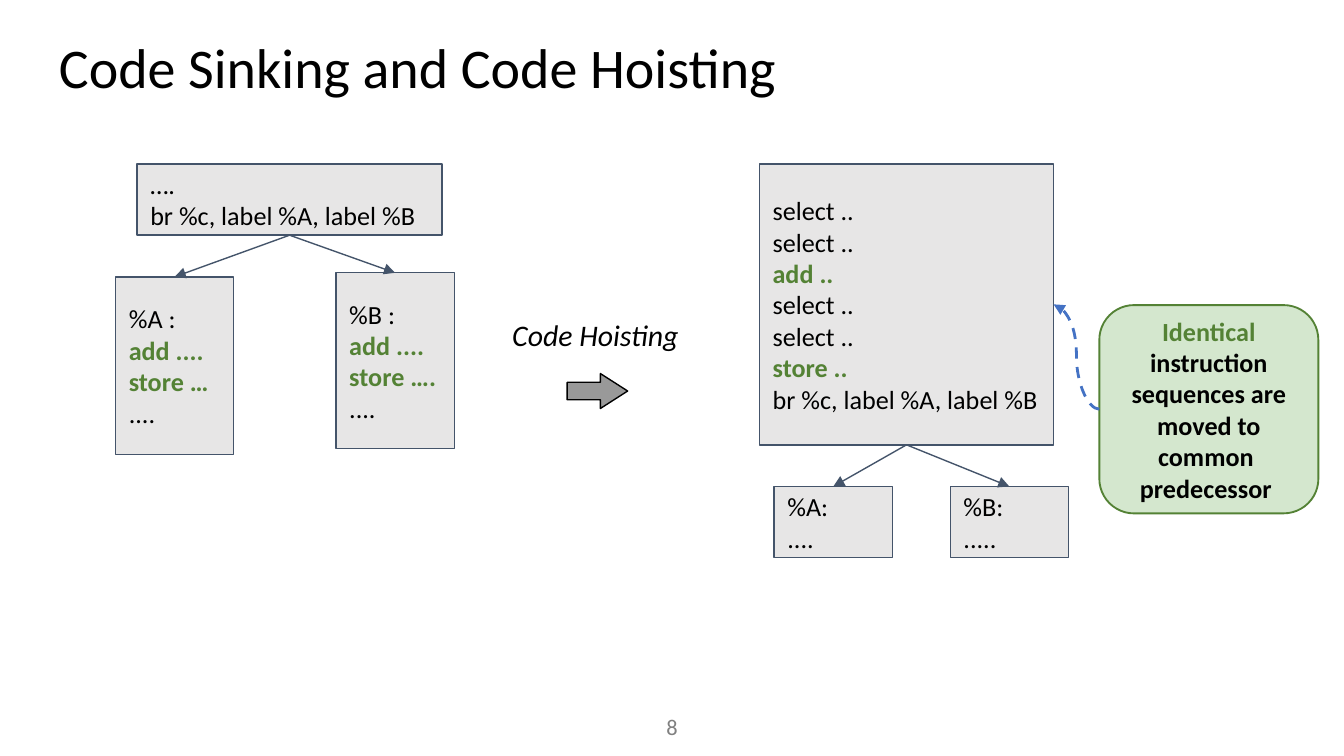
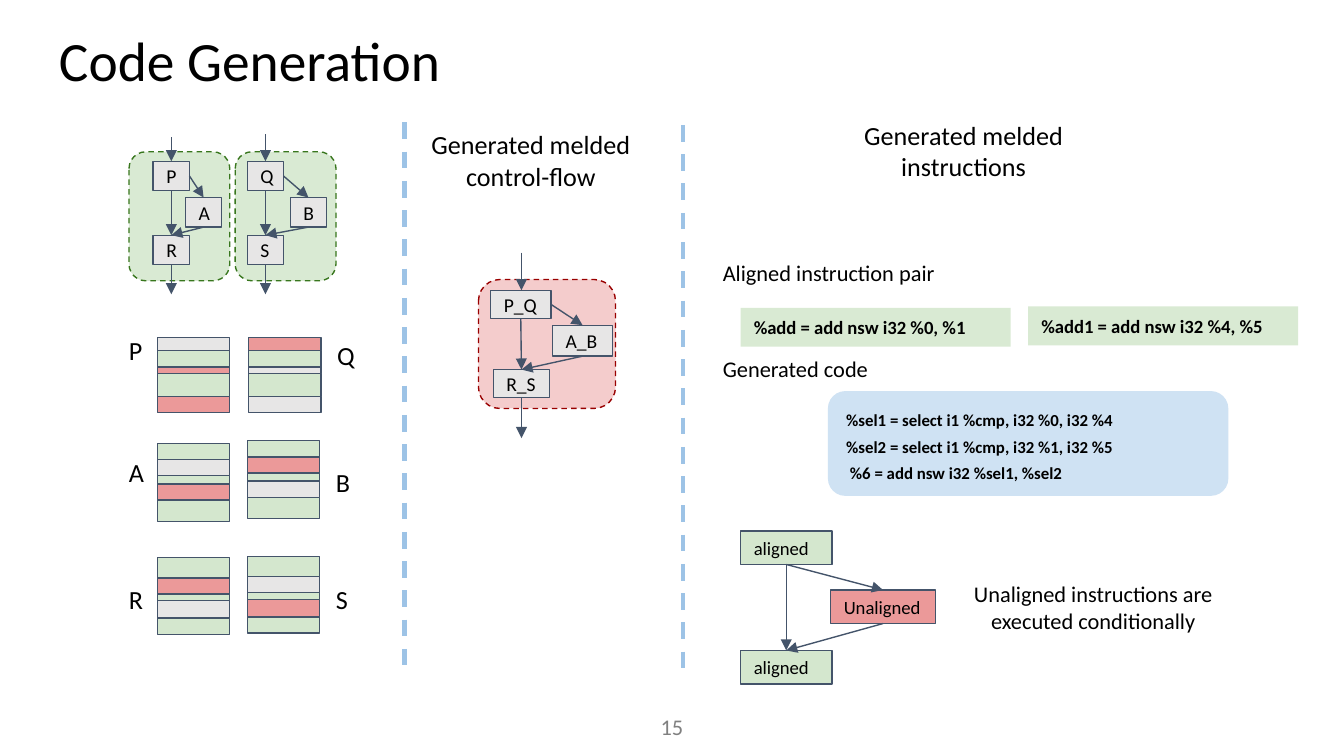
from lxml import etree
from pptx import Presentation
from pptx import util as u
from pptx.dml.color import RGBColor
from pptx.enum import dml, shapes, text
from pptx.oxml import ns

COLORS = {
    "black": "000000", "gray": "808080", "arrow": "999999", "white": "FFFFFF",
    "block": "E7E6E6", "slate": "44546A", "leaf": "548235", "mint": "D4E7CE",
    "pale": "D9EAD3", "forest": "38761D", "rose": "F4CCCC", "wine": "990000",
    "coral": "EB9999", "sky": "CFE2F3", "blue": "4472C4", "divider": "9DC3E6",
}
STRIPES = {"m": "mint", "b": "block", "c": "coral"}
TOP, LEFT, BOTTOM, RIGHT = range(4)
RECT = shapes.MSO_SHAPE.RECTANGLE
ROUND = shapes.MSO_SHAPE.ROUNDED_RECTANGLE
CENTER = text.PP_ALIGN.CENTER
MIDDLE = text.MSO_ANCHOR.MIDDLE


def rgb(name):
    return RGBColor.from_string(COLORS[name])


def accent(words):
    return [(words, {"color": "leaf", "bold": True})]


def write(box, lines, size=14, color="black", bold=False, italic=False,
          align=text.PP_ALIGN.LEFT, anchor=MIDDLE, spacing=None, inset=0.1):
    frame = box.text_frame
    frame.word_wrap = True
    frame.vertical_anchor = anchor
    frame.margin_left = frame.margin_right = u.Inches(0.1)
    frame.margin_top = frame.margin_bottom = u.Inches(inset)
    for index, line in enumerate(lines):
        para = frame.add_paragraph() if index else frame.paragraphs[0]
        para.alignment = align
        if spacing:
            para.line_spacing = spacing
        for words, changes in ([(line, {})] if isinstance(line, str) else line):
            look = {"color": color, "bold": bold} | changes
            span = para.add_run()
            span.text = words
            span.font.name = "Calibri"
            span.font.size = u.Pt(size)
            span.font.italic = italic
            span.font.bold = look["bold"]
            span.font.color.rgb = rgb(look["color"])


class Page:
    def __init__(self, deck, title, number, title_top=0.2, title_size=30):
        self.shapes = deck.slides.add_slide(deck.slide_layouts[6]).shapes
        self.label(0.34, title_top, 9.32, 0.63, [title], size=title_size,
                   spacing=0.9, inset=0.1)
        self.label(4.7, 5.19, 0.6, 0.43, [str(number)], size=12, color="gray",
                   align=CENTER, anchor=MIDDLE, inset=0.1)

    def label(self, left, top, width, height, lines, **style):
        box = self.shapes.add_textbox(*map(u.Inches, (left, top, width, height)))
        write(box, lines, **({"anchor": text.MSO_ANCHOR.TOP, "inset": 0.05} | style))

    def box(self, left, top, width, height, lines=(), kind=RECT, fill="block",
            line="slate", weight=0.75, dashed=False, **style):
        box = self.shapes.add_shape(kind, *map(u.Inches, (left, top, width, height)))
        box.shadow.inherit = False
        box.fill.solid()
        box.fill.fore_color.rgb = rgb(fill)
        if line:
            self.stroke(box.line, line, weight, dashed)
        else:
            box.line.fill.background()
        if lines:
            write(box, lines, **style)
        return box

    def stroke(self, line, color, weight, dashed):
        line.color.rgb = rgb(color)
        line.width = u.Pt(weight)
        if dashed:
            line.dash_style = dml.MSO_LINE.DASH

    def line(self, start=(0, 0), end=(0, 0), color="slate", weight=0.75,
             dashed=False, arrow=True, curved=False):
        kinds = shapes.MSO_CONNECTOR
        connector = self.shapes.add_connector(
            kinds.CURVE if curved else kinds.STRAIGHT, *map(u.Inches, (*start, *end)))
        self.stroke(connector.line, color, weight, dashed)
        properties = connector.element.spPr
        if arrow:
            outline = properties.find(ns.qn("a:ln"))
            etree.SubElement(outline, ns.qn("a:tailEnd"), type="triangle")
        etree.SubElement(properties, ns.qn("a:effectLst"))
        return connector

    def link(self, source, source_side, target, target_side, **style):
        connector = self.line(**style)
        connector.begin_connect(source, source_side)
        connector.end_connect(target, target_side)

    def branch(self, source, *targets):
        for target in targets:
            self.link(source, BOTTOM, target, TOP)

    def bypass(self, head, side, tail, side_exit=RIGHT):
        self.link(head, side_exit, side, TOP)
        self.link(head, BOTTOM, tail, TOP)
        self.link(side, BOTTOM, tail, TOP)

    def through(self, x, start, head_top, tail_bottom, end):
        self.line((x, start), (x, head_top))
        self.line((x, tail_bottom), (x, end))

    def stack(self, left, top, heights, pattern):
        for height, key in zip(heights, pattern):
            self.box(left, top, 0.54, height, fill=STRIPES[key])
            top += height


def hoisting(deck):
    page = Page(deck, "Code Sinking and Code Hoisting", 8)
    branch = "br %c, label %A, label %B"
    left = page.box(0.86, 2.06, 0.88, 1.32,
                    ["%A :", accent("add ...."), accent("store …"), "...."])
    right = page.box(2.5, 2.03, 0.88, 1.31,
                     ["%B :", accent("add ...."), accent("store …."), "...."])
    page.branch(page.box(1.02, 1.22, 2.27, 0.53, ["….", branch]), left, right)

    page.label(3.6, 2.26, 1.66, 0.47, ["Code Hoisting"], size=16, italic=True,
               align=CENTER, inset=0.1)
    arrow = page.box(4.22, 2.78, 0.45, 0.26, kind=shapes.MSO_SHAPE.RIGHT_ARROW,
                     fill="arrow", line="black")
    arrow.adjustments[1] = 0.78

    left = page.box(5.76, 3.62, 0.88, 0.53, ["%A:", "...."])
    right = page.box(7.07, 3.62, 0.88, 0.53, ["%B:", "....."])
    hoisted = page.box(5.65, 1.22, 2.19, 2.09, [
        "select ..", "select ..", accent("add .."),
        "select ..", "select ..", accent("store .."), branch])
    page.branch(hoisted, left, right)
    callout = page.box(
        8.18, 2.27, 1.63, 1.55,
        [[("Identical", {"color": "leaf"}),
          (" instruction sequences are moved to common  predecessor ", {})]],
        kind=ROUND, fill="mint", line="leaf", weight=1, bold=True, align=CENTER,
        inset=0.05)
    page.link(callout, LEFT, hoisted, RIGHT, color="blue", weight=1.5,
              dashed=True, curved=True)


def generation(deck):
    page = Page(deck, "Code Generation", 15, title_top=0.15, title_size=29.7)

    for left, x, side_x, names, start in ((0.96, 1.14, 1.38, "PAR", 1.02),
                                          (1.75, 1.84, 2.16, "QBS", 1)):
        page.box(left, 1.13, 0.75, 0.96, kind=ROUND, fill="pale", line="forest", dashed=True)
        spots = zip((x, side_x, x), (1.2, 1.47, 1.75), names)
        page.bypass(*[page.box(spot, top, 0.27, 0.22, [name], size=10.5)
                      for spot, top, name in spots])
        page.through(x + 0.135, start, 1.2, 1.97, 2.19)

    page.box(3.56, 2.08, 1.02, 0.96, kind=ROUND, fill="rose", line="wine", dashed=True)
    melded = ((3.65, 2.16, 0.45, 0.21, "P_Q"), (4.11, 2.42, 0.45, 0.23, "A_B"),
              (3.67, 2.75, 0.42, 0.21, "R_S"))
    page.bypass(*[page.box(*place, [name], size=10.5) for *place, name in melded])
    page.through(3.88, 1.88, 2.16, 2.96, 3.26)

    rows = (
        ((0.1, 0.12, 0.05, 0.17, 0.12),
         ((1.17, 2.51, "bmcmc", "P", 0.86, 2.44), (1.85, 2.51, "cmbmb", "Q", 2.41, 2.48))),
        ((0.12, 0.12, 0.06, 0.12, 0.16),
         ((1.17, 3.3, "mbmcm", "A", 0.86, 3.35), (1.84, 3.28, "mcmbm", "B", 2.4, 3.42))),
        ((0.15, 0.12, 0.05, 0.13, 0.12),
         ((1.17, 4.15, "mcmbm", "R", 0.86, 4.29), (1.84, 4.14, "mbmcm", "S", 2.4, 4.29))),
    )
    for heights, stacks in rows:
        for left, top, pattern, name, name_left, name_top in stacks:
            page.stack(left, top, heights, pattern)
            page.label(name_left, name_top, 0.31, 0.34, [name])

    page.box(6.16, 2.91, 2.98, 0.78, [
        "%sel1 = select i1 %cmp, i32 %0, i32 %4",
        "%sel2 = select i1 %cmp, i32 %1, i32 %5",
        " %6 = add nsw i32 %sel1, %sel2",
    ], kind=ROUND, fill="sky", line=None, size=9, bold=True, spacing=1.3)
    for left, top, code in ((5.51, 2.29, "%add = add nsw i32 %0, %1"),
                            (7.65, 2.28, "%add1 = add nsw i32 %4, %5")):
        page.box(left, top, 2.01, 0.29, [code], fill="pale", line=None, size=10, bold=True)
    page.label(5.28, 1.88, 1.94, 0.36, ["Aligned instruction pair"], size=12)
    page.label(5.28, 2.59, 1.4, 0.36, ["Generated code"], size=12)

    for left, top, heading in ((2.94, 0.91, "Generated melded control-flow"),
                               (6.16, 0.84, "Generated melded instructions")):
        page.label(left, top, 2.02, 0.57, [heading], align=CENTER)
    for x, top in ((3.01, 0.91), (5.08, 0.93)):
        page.line((x, top), (x, top + 4.04), color="divider", weight=2.25,
                  dashed=True, arrow=False)

    page.box(6.96, 4.12, 2.35, 0.79, ["Unaligned instructions are executed conditionally"],
             kind=ROUND, fill="white", line=None, size=12, align=CENTER, inset=0.05)
    flow = ((5.51, 3.95, 0.68, "aligned", "mint"), (6.18, 4.39, 0.78, "Unaligned", "coral"),
            (5.51, 4.84, 0.68, "aligned", "mint"))
    page.bypass(*[page.box(left, top, width, 0.25, [name], fill=fill, size=10)
                  for left, top, width, name, fill in flow], side_exit=BOTTOM)


def main():
    deck = Presentation()
    deck.slide_width = u.Inches(10)
    deck.slide_height = u.Inches(10 * 9 / 16)
    hoisting(deck)
    generation(deck)
    deck.save("out.pptx")


if __name__ == "__main__":
    main()
